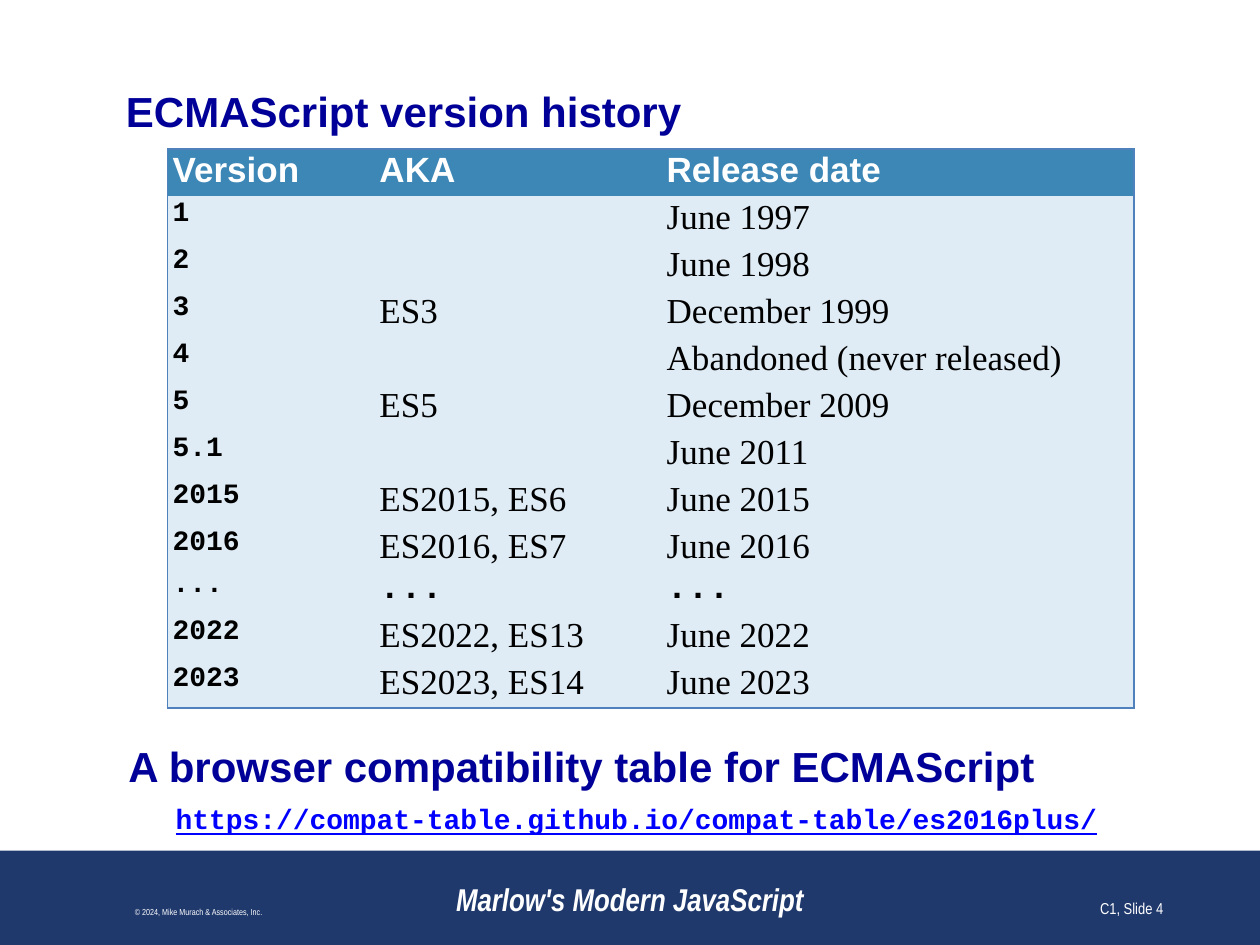
import lxml.etree
import pptx
import pptx.dml.color
import pptx.enum.shapes
import pptx.enum.text
import pptx.oxml.ns
import pptx.util

Cm = pptx.util.Cm
Pt = pptx.util.Pt
align = pptx.enum.text.PP_ALIGN
anchor = pptx.enum.text.MSO_ANCHOR
qn = pptx.oxml.ns.qn

NAVY, HEADING, WHITE = "20396D", "000099", "FFFFFF"
HEADER_FILL, ROW_FILL, BORDER = "3D87B7", "DFECF5", "4F81BD"
NO_STYLE = "{2D5ABB26-0587-4C30-8999-92F81FD0307C}"


def color(code):
    return pptx.dml.color.RGBColor.from_string(code)


def write(para, text, name, size, code, bold=False, italic=False):
    para.add_run().text = text
    font = para.font
    font.name, font.size = name, Pt(size)
    font.bold, font.italic = bold, italic
    font.color.rgb = color(code)


deck = pptx.Presentation()
deck.slide_width, deck.slide_height = Cm(25.4), Cm(19.05)
page = deck.slides.add_slide(deck.slide_layouts[6])

# Footer band
band = page.shapes.add_shape(pptx.enum.shapes.MSO_SHAPE.RECTANGLE,
                             0, Cm(17.15), deck.slide_width, Cm(1.9))
band.shadow.inherit = False
band.fill.solid()
band.fill.fore_color.rgb = color(NAVY)
band.line.fill.background()

# Title
box = page.shapes.add_textbox(Cm(2.54), Cm(1.73), Cm(20.32), Cm(1.02))
frame = box.text_frame
frame.word_wrap = True
frame.vertical_anchor = anchor.MIDDLE
frame.margin_left = frame.margin_right = frame.margin_top = frame.margin_bottom = 0
write(frame.paragraphs[0], "ECMAScript version history", "Arial", 24, HEADING, True)

# Version table
rows = [
    ("Version", "AKA", "Release date"),
    ("1", "", "June 1997"),
    ("2", "", "June 1998"),
    ("3", "ES3", "December 1999"),
    ("4", "", "Abandoned (never released)"),
    ("5", "ES5", "December 2009"),
    ("5.1", "", "June 2011"),
    ("2015", "ES2015, ES6", "June 2015"),
    ("2016", "ES2016, ES7", "June 2016"),
    ("...", "...", "..."),
    ("2022", "ES2022, ES13", "June 2022"),
    ("2023", "ES2023, ES14", "June 2023"),
]
widths = [4.17, 5.79, 9.52]
gap_row = 9
last_row, last_column = len(rows) - 1, len(widths) - 1
heights = [0.91] * len(rows)
heights[gap_row - 1], heights[gap_row] = 0.86, 0.85

holder = page.shapes.add_table(len(rows), len(widths), Cm(3.38), Cm(3),
                               Cm(sum(widths)), Cm(sum(heights)))
table = holder.table
table.horz_banding = False
table._tbl.tblPr.find(qn("a:tableStyleId")).text = NO_STYLE
for column, width in zip(table.columns, widths):
    column.width = Cm(width)

for r, texts in enumerate(rows):
    table.rows[r].height = Cm(heights[r])
    for c, text in enumerate(texts):
        cell = table.cell(r, c)
        cell.margin_left = cell.margin_right = Cm(0.1)
        cell.margin_top = Cm(0 if r == gap_row else 0.05)
        cell.margin_bottom = Cm(0 if r == gap_row - 1 else 0.05)

        # Lines on the outer edge only
        edges = {"a:lnL": c == 0, "a:lnR": c == last_column,
                 "a:lnT": r == 0, "a:lnB": r == last_row}
        for tag, outer in edges.items():
            if outer:
                line = lxml.etree.SubElement(cell._tc.get_or_add_tcPr(), qn(tag),
                                             w=str(Pt(1)))
                fill = lxml.etree.SubElement(line, qn("a:solidFill"))
                lxml.etree.SubElement(fill, qn("a:srgbClr"), val=BORDER)
        cell.fill.solid()
        cell.fill.fore_color.rgb = color(HEADER_FILL if r == 0 else ROW_FILL)

        para = cell.text_frame.paragraphs[0]
        if not text:
            para.font.size = Pt(16)
        elif r == 0:
            write(para, text, "Arial", 20, WHITE, True)
        elif c == 0:
            write(para, text, "Courier New", 16, "000000", True)
        elif r == gap_row:
            write(para, text, "Courier New", 20, "000000", True)
        else:
            write(para, text, "Times New Roman", 20, "000000")

# Compatibility table heading and address
box = page.shapes.add_textbox(Cm(2.34), Cm(14.81), Cm(20.52), Cm(1.9))
frame = box.text_frame
frame.word_wrap = True
para = frame.paragraphs[0]
para.space_after = Pt(6)
write(para, "A browser compatibility table for ECMAScript", "Arial", 24, HEADING, True)
para = frame.add_paragraph()
para._p.get_or_add_pPr().set("marL", str(Cm(0.95)))
write(para, "https://compat-table.github.io/compat-table/es2016plus/",
      "Courier New", 16, "0000FF", True)
para.font.underline = True

# Footer texts: left, width, text, size, alignment, bold italic
footers = [
    (0.2, 7.62, "© 2024, Mike Murach & Associates, Inc.", 5, align.CENTER, False),
    (7.62, 10.16, "Marlow's Modern JavaScript", 18, align.CENTER, True),
    (18.42, 5.28, "C1, Slide 4", 9, align.RIGHT, False),
]
for left, width, text, size, alignment, strong in footers:
    box = page.shapes.add_textbox(Cm(left), Cm(17.35), Cm(width), Cm(1.27))
    frame = box.text_frame
    frame.word_wrap = True
    frame.vertical_anchor = anchor.BOTTOM
    para = frame.paragraphs[0]
    para.alignment = alignment
    write(para, text, "Arial Narrow", size, WHITE, strong, strong)

deck.save("out.pptx")
